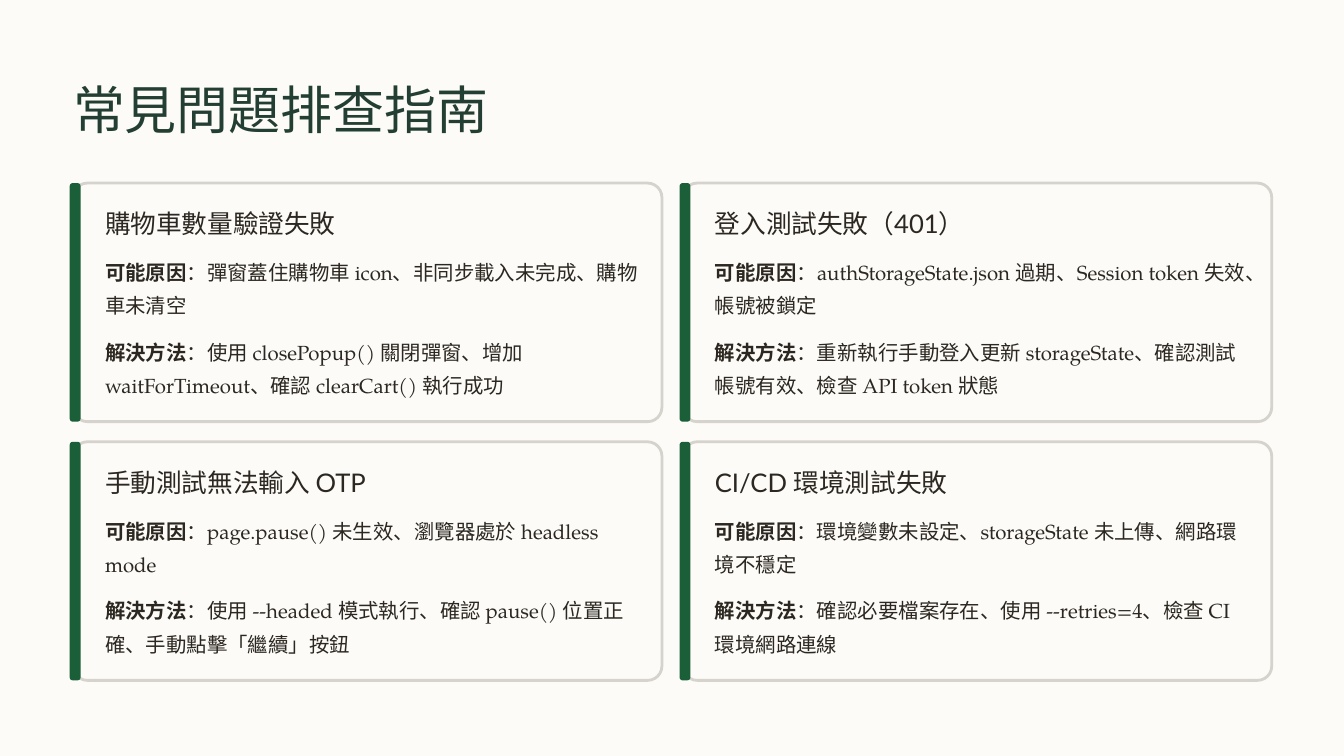
from dataclasses import dataclass

from pptx import Presentation
from pptx.dml.color import RGBColor
from pptx.enum import shapes
from pptx.util import Inches, Pt


@dataclass(frozen=True)
class Theme:
    paper: str = "FCFBF8"
    border: str = "D6D3CC"
    accent: str = "1B5F39"
    title: str = "233E32"
    ink: str = "2C2821"
    heading_font: str = "Lato"
    body_font: str = "TeX Gyre Pagella"
    title_size: float = 44.5
    heading_size: float = 22
    body_size: float = 17.5


@dataclass(frozen=True)
class Issue:
    heading: str
    cause: str
    solution: str


THEME = Theme()

ISSUES = [
    Issue("購物車數量驗證失敗",
          "彈窗蓋住購物車 icon、非同步載入未完成、購物車未清空",
          "使用 closePopup() 關閉彈窗、增加 waitForTimeout、確認 clearCart() 執行成功"),
    Issue("登入測試失敗（401）",
          "authStorageState.json 過期、Session token 失效、帳號被鎖定",
          "重新執行手動登入更新 storageState、確認測試帳號有效、檢查 API token 狀態"),
    Issue("手動測試無法輸入 OTP",
          "page.pause() 未生效、瀏覽器處於 headless mode",
          "使用 --headed 模式執行、確認 pause() 位置正確、手動點擊「繼續」按鈕"),
    Issue("CI/CD 環境測試失敗",
          "環境變數未設定、storageState 未上傳、網路環境不穩定",
          "確認必要檔案存在、使用 --retries=4、檢查 CI 環境網路連線"),
]

# Card grid, in inches
COLUMNS = 2
GRID_LEFT, GRID_TOP = 0.87, 2.18
COLUMN_STEP, ROW_STEP = 7.26, 3.08
CARD_WIDTH, CARD_HEIGHT = 7.01, 2.84
TEXT_WIDTH = 6.35


def add_text(slide, left: float, top: float, width: float, height: float, text: str, *,
             font: str, size: float, color: str, line_pt: float, label: str = "") -> None:
    """Write text, led by an optional bold label."""
    frame = slide.shapes.add_textbox(
        Inches(left), Inches(top), Inches(width), Inches(height)).text_frame
    frame.margin_left = frame.margin_right = frame.margin_top = frame.margin_bottom = 0
    frame.word_wrap = True
    paragraph = frame.paragraphs[0]
    paragraph.line_spacing = Pt(line_pt)
    for content, bold in ((label, True), (text, False)):
        if content:
            run = paragraph.add_run()
            run.text = content
            run.font.name = font
            run.font.size = Pt(size)
            run.font.bold = bold
            run.font.color.rgb = RGBColor.from_string(color)


def add_panel(slide, left: float, top: float, width: float, height: float, *,
              radius: float, fill: str, border: str = "") -> None:
    """Draw a rounded rectangle, with a border if a colour is given."""
    panel = slide.shapes.add_shape(
        shapes.MSO_SHAPE.ROUNDED_RECTANGLE,
        Inches(left), Inches(top), Inches(width), Inches(height))
    panel.adjustments[0] = radius
    panel.shadow.inherit = False
    panel.fill.solid()
    panel.fill.fore_color.rgb = RGBColor.from_string(fill)
    if border:
        panel.line.color.rgb = RGBColor.from_string(border)
        panel.line.width = Pt(2.4)
    else:
        panel.line.fill.background()


def add_card(slide, issue: Issue, left: float, top: float) -> None:
    # Frame and accent bar
    add_panel(slide, left, top, CARD_WIDTH, CARD_HEIGHT,
              radius=0.06, fill=THEME.paper, border=THEME.border)
    add_panel(slide, left - 0.04, top, 0.13, CARD_HEIGHT, radius=0.28, fill=THEME.accent)

    # Heading, cause and solution
    text_left = left + 0.38
    add_text(slide, text_left, top + 0.28, TEXT_WIDTH, 0.39, issue.heading,
             font=THEME.heading_font, size=THEME.heading_size,
             color=THEME.ink, line_pt=27.5)
    for offset, label, detail in ((0.81, "可能原因", issue.cause),
                                  (1.76, "解決方法", issue.solution)):
        add_text(slide, text_left, top + offset, TEXT_WIDTH, 0.79, f"：{detail}",
                 label=label, font=THEME.body_font, size=THEME.body_size,
                 color=THEME.ink, line_pt=28.5)


def main() -> None:
    deck = Presentation()
    deck.slide_width, deck.slide_height = Inches(16), Inches(9)
    slide = deck.slides.add_slide(deck.slide_layouts[6])
    slide.background.fill.solid()
    slide.background.fill.fore_color.rgb = RGBColor.from_string(THEME.paper)

    # Title
    add_text(slide, GRID_LEFT, 0.9, 6.2, 0.78, "常見問題排查指南",
             font=THEME.heading_font, size=THEME.title_size,
             color=THEME.title, line_pt=55.5)

    # Issue cards
    for index, issue in enumerate(ISSUES):
        row, column = divmod(index, COLUMNS)
        add_card(slide, issue, GRID_LEFT + column * COLUMN_STEP, GRID_TOP + row * ROW_STEP)

    deck.save("out.pptx")


if __name__ == "__main__":
    main()
